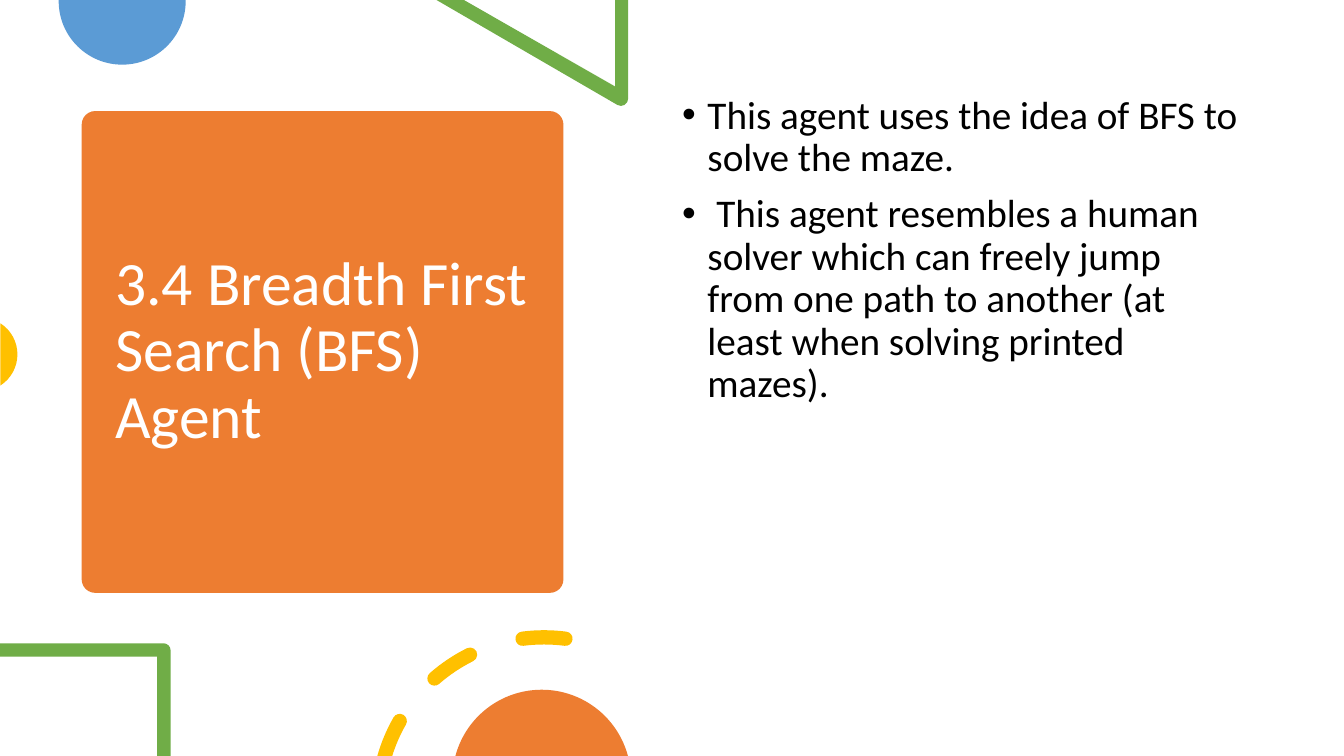
from math import ceil, cos, radians, sin, tan

from lxml import etree
from pptx import Presentation
from pptx.dml.color import RGBColor
from pptx.enum.shapes import MSO_SHAPE
from pptx.enum.text import MSO_ANCHOR, MSO_AUTO_SIZE, PP_ALIGN
from pptx.oxml.ns import qn
from pptx.util import Cm, Pt

ROUND = MSO_SHAPE.ROUNDED_RECTANGLE
MIDDLE, TOP = MSO_ANCHOR.MIDDLE, MSO_ANCHOR.TOP
LEFT = PP_ALIGN.LEFT
FIXED = MSO_AUTO_SIZE.NONE
COLORS = {
    "orange": "ED7D31", "blue": "5B9BD5", "green": "70AD47",
    "gold": "FFC000", "white": "FFFFFF", "black": "000000",
}
TITLE = "3.4 Breadth First Search (BFS) Agent"
POINTS = [
    "This agent uses the idea of BFS to solve the maze.",
    "\u00a0This agent resembles a human solver which can freely jump "
    "from one path to another (at least when solving printed mazes).",
]


def color(name):
    return RGBColor.from_string(COLORS[name])


def apply(target, values):
    for name, value in values.items():
        setattr(target, name, value)


def paint(shape, name):
    shape.shadow.inherit = False
    shape.fill.solid()
    shape.fill.fore_color.rgb = color(name)
    shape.line.fill.background()


def write(frame, lines, size, name, anchor, before=0):
    apply(frame, {"word_wrap": True, "auto_size": FIXED, "vertical_anchor": anchor})
    for index, line in enumerate(lines):
        para = frame.paragraphs[0] if index == 0 else frame.add_paragraph()
        apply(para, {"alignment": LEFT, "line_spacing": 0.9, "space_before": Pt(before)})
        run = para.add_run()
        run.text = line
        apply(run.font, {"name": "Calibri", "size": Pt(size)})
        run.font.color.rgb = color(name)


def bullet(para):
    props = para._p.get_or_add_pPr()
    props.set("marL", str(Cm(0.64)))
    props.set("indent", str(Cm(-0.64)))
    font = etree.SubElement(props, qn("a:buFont"))
    font.set("typeface", "Arial")
    mark = etree.SubElement(props, qn("a:buChar"))
    mark.set("char", "\u2022")


def arc(x, y, radius, start, end):
    count = ceil(abs(end - start) / 90)
    step = radians(end - start) / count
    pull = 4 / 3 * tan(step / 4)

    def spot(angle, lead):
        return (x + radius * (cos(angle) - lead * sin(angle)),
                y + radius * (sin(angle) + lead * cos(angle)))

    angles = [radians(start) + step * i for i in range(count + 1)]
    curves = [[spot(a, pull), spot(b, -pull), spot(b, 0)]
              for a, b in zip(angles, angles[1:])]
    return [[spot(angles[0], 0)]] + curves


def line(*spots):
    return [[spot] for spot in spots]


def bend(shape, counts):
    edges = iter(list(shape._element.iter(qn("a:lnTo"))))
    for count in counts:
        group = [next(edges) for _ in range(count)]
        if count == 3:
            curve = etree.Element(qn("a:cubicBezTo"))
            group[0].addprevious(curve)
            for edge in group:
                curve.append(edge[0])
                edge.getparent().remove(edge)


def outline(slide, box, name, *loops):
    left, top = box[:2]
    pen = None
    for loop in loops:
        spots = [(Cm(left + x), Cm(top + y)) for part in loop for x, y in part]
        if pen:
            pen.move_to(*spots[0])
        else:
            pen = slide.shapes.build_freeform(*spots[0])
        pen.add_line_segments(spots[1:], close=True)
    shape = pen.convert_to_shape()
    bend(shape, [len(part) for loop in loops for part in loop[1:]])
    paint(shape, name)


def card(slide, box):
    left, top, width, height = box
    panel = slide.shapes.add_shape(ROUND, *map(Cm, box))
    panel.adjustments[0] = 0.028
    paint(panel, "orange")
    title = slide.shapes.title
    apply(title, {
        "left": Cm(left + 0.59), "top": Cm(top + 0.28),
        "width": Cm(width - 1.19), "height": Cm(height - 0.56),
    })
    write(title.text_frame, [TITLE], 44, "white", MIDDLE)
    panel._element.addnext(title._element)


def body(slide, box):
    frame = slide.shapes.add_textbox(*map(Cm, box)).text_frame
    write(frame, POINTS, 28, "black", TOP, 10)
    for para in frame.paragraphs:
        bullet(para)


def disc(slide, box):
    half = box[2] / 2
    outline(slide, box, "blue", line((0, 0), (2 * half, 0)) + arc(half, 0.03, half, 0, 180))


def wedge(slide, box):
    width, height = box[2:]
    edge = line((width, 0), (width - 0.33, 0), (width - 0.33, 2.18), (0.69, 0), (0, 0))
    outline(slide, box, "green", edge + arc(width - 0.18, height - 0.18, 0.18, 120, 0))


def dot(slide, box):
    outline(slide, box, "gold", arc(-0.5, box[3] / 2, 0.93, -57.5, 57.5))


def frame(slide, box):
    width, height = box[2:]
    inner = width - 0.34
    edge = line((0, 0), (0, 0.34), (inner, 0.34), (inner, height), (width, height))
    outline(slide, box, "green", edge + arc(width - 0.18, 0.18, 0.18, 0, -90))


def dash(x, y, radius, half, middle, cut=None):
    start, end = middle - 7.4, middle + 7.4
    outer, inner = cut or (start, start)

    def cap(angle, turn):
        across = radians(angle)
        return arc(x + radius * cos(across), y + radius * sin(across),
                   half, angle + turn, angle + turn + 180)[1:]

    loop = arc(x, y, radius + half, outer, end) + cap(end, 0)
    loop += arc(x, y, radius - half, end, inner)[1:]
    return loop if cut else loop + cap(start, 180)


def ring(slide, box):
    cuts = [None, None, (195.94, 197.4)]
    dashes = [dash(4.22, 4.37, 4.19, 0.18, 270 - 33.8 * i, cut)
              for i, cut in enumerate(cuts)]
    outline(slide, box, "gold", *dashes)


def dome(slide, box):
    radius = 2.25
    outline(slide, box, "orange", arc(box[2] / 2, radius, radius, 194.7, 345.3))


deck = Presentation()
apply(deck, {"slide_width": Cm(33.87), "slide_height": Cm(19.05)})
slide = deck.slides.add_slide(deck.slide_layouts[5])
for draw, box in (
    (card, (2.06, 2.8, 12.14, 12.14)),
    (disc, (1.48, 0, 3.2, 1.65)),
    (wedge, (11, 0, 4.83, 2.67)),
    (dot, (0.01, 8.16, 0.43, 1.54)),
    (body, (16.94, 2.28, 14.61, 13.59)),
    (frame, (0, 16.21, 4.3, 2.84)),
    (ring, (9.49, 15.88, 4.93, 3.17)),
    (dome, (11.48, 17.38, 4.34, 1.67)),
):
    draw(slide, box)
deck.save("out.pptx")
